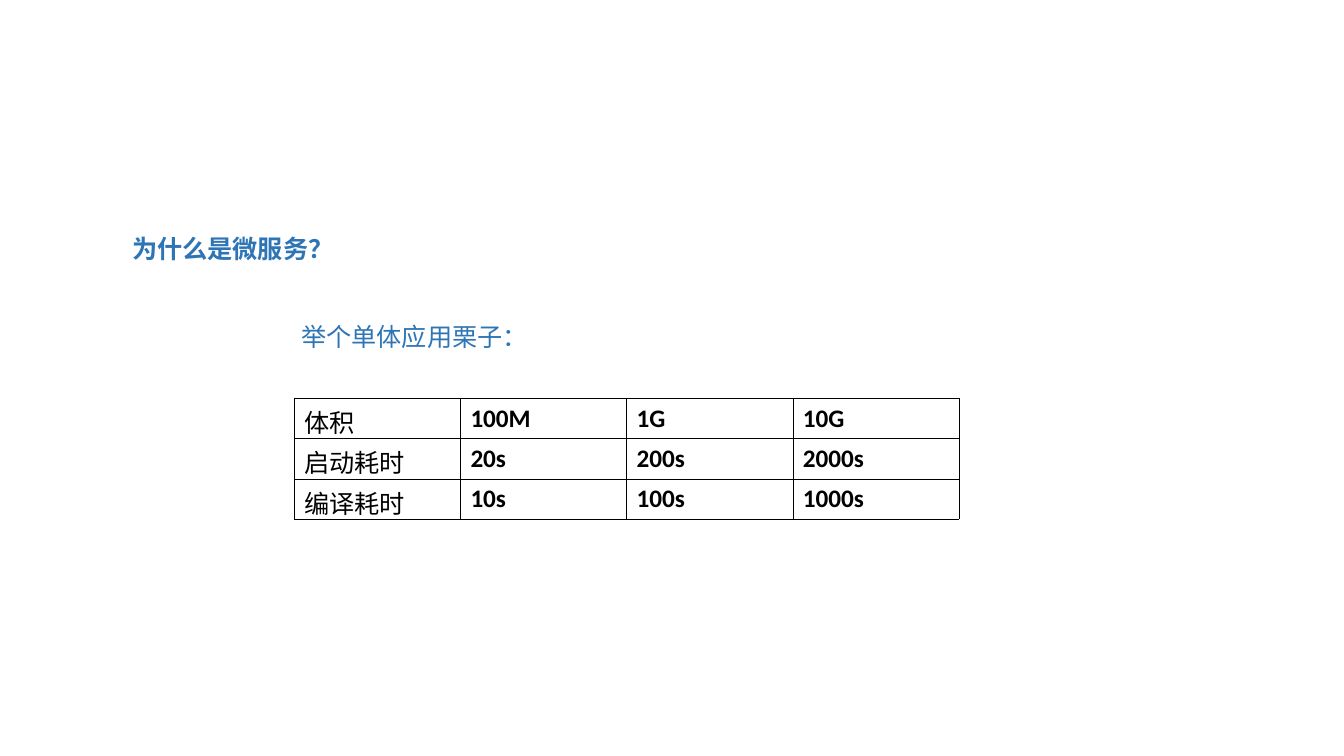
from dataclasses import dataclass

from lxml.etree import SubElement
from pptx import Presentation
from pptx.dml.color import RGBColor
from pptx.enum.text import MSO_AUTO_SIZE, PP_ALIGN
from pptx.oxml.ns import qn
from pptx.util import Inches, Pt


@dataclass(frozen=True)
class Theme:
    accent: str = "2E75B6"
    ink: str = "000000"
    heading_font: str = "Noto Sans CJK SC"
    table_font: str = "Calibri"
    size: float = 18
    border: float = 0.45


THEME = Theme()
COLUMN_WIDTH = 1.65
ROW_HEIGHT = 0.4
TABLE_LEFT = 2.92
TABLE_TOP = 3.95
SIZE_AND_STARTUP = [
    ["体积", "100M", "1G", "10G"],
    ["启动耗时", "20s", "200s", "2000s"],
]
COMPILE_TIME = [["编译耗时", "10s", "100s", "1000s"]]


def style_paragraph(paragraph, font_name, color, bold):
    font = paragraph.font
    font.name = font_name
    font.size = Pt(THEME.size)
    font.bold = bold
    font.color.rgb = RGBColor.from_string(color)


def add_heading(slide, text, left, top, width, height, bold=False):
    box = slide.shapes.add_textbox(
        Inches(left), Inches(top), Inches(width), Inches(height)
    )
    frame = box.text_frame
    frame.word_wrap = False
    frame.auto_size = MSO_AUTO_SIZE.SHAPE_TO_FIT_TEXT
    heading = frame.paragraphs[0]
    heading.text = text
    style_paragraph(heading, THEME.heading_font, THEME.accent, bold)
    defaults = heading._p.pPr.find(qn("a:defRPr"))
    SubElement(defaults, qn("a:ea"), typeface=THEME.heading_font)
    return heading


def add_borders(cell):
    properties = cell._tc.get_or_add_tcPr()
    for side in ("a:lnL", "a:lnR", "a:lnT", "a:lnB"):
        line = SubElement(properties, qn(side), w=str(Pt(THEME.border)))
        fill = SubElement(line, qn("a:solidFill"))
        SubElement(fill, qn("a:srgbClr"), val=THEME.ink)


def add_metrics(slide, rows, top):
    columns = len(rows[0])
    table = slide.shapes.add_table(
        len(rows), columns, Inches(TABLE_LEFT), Inches(top),
        Inches(COLUMN_WIDTH * columns), Inches(ROW_HEIGHT * len(rows)),
    ).table
    table.first_row = False
    table.horz_banding = False
    for row_index, row in enumerate(rows):
        for column_index, value in enumerate(row):
            cell = table.cell(row_index, column_index)
            cell.text = value
            style_paragraph(
                cell.text_frame.paragraphs[0],
                THEME.table_font, THEME.ink, column_index > 0,
            )
            add_borders(cell)
            cell.fill.background()


def main():
    presentation = Presentation()
    presentation.slide_width = Inches(13.34)
    presentation.slide_height = Inches(7.5)
    slide = presentation.slides.add_slide(presentation.slide_layouts[6])

    question = add_heading(slide, "为什么是微服务？", 1.02, 2.12, 2.58, 0.55, bold=True)
    question.alignment = PP_ALIGN.CENTER
    question.line_spacing = 1.5
    question.space_after = Pt(4.5)

    add_metrics(slide, SIZE_AND_STARTUP, TABLE_TOP)
    add_metrics(slide, COMPILE_TIME, TABLE_TOP + ROW_HEIGHT * len(SIZE_AND_STARTUP))
    add_heading(slide, "举个单体应用栗子：", 2.89, 3.14, 2.45, 0.4)

    presentation.save("out.pptx")


if __name__ == "__main__":
    main()
